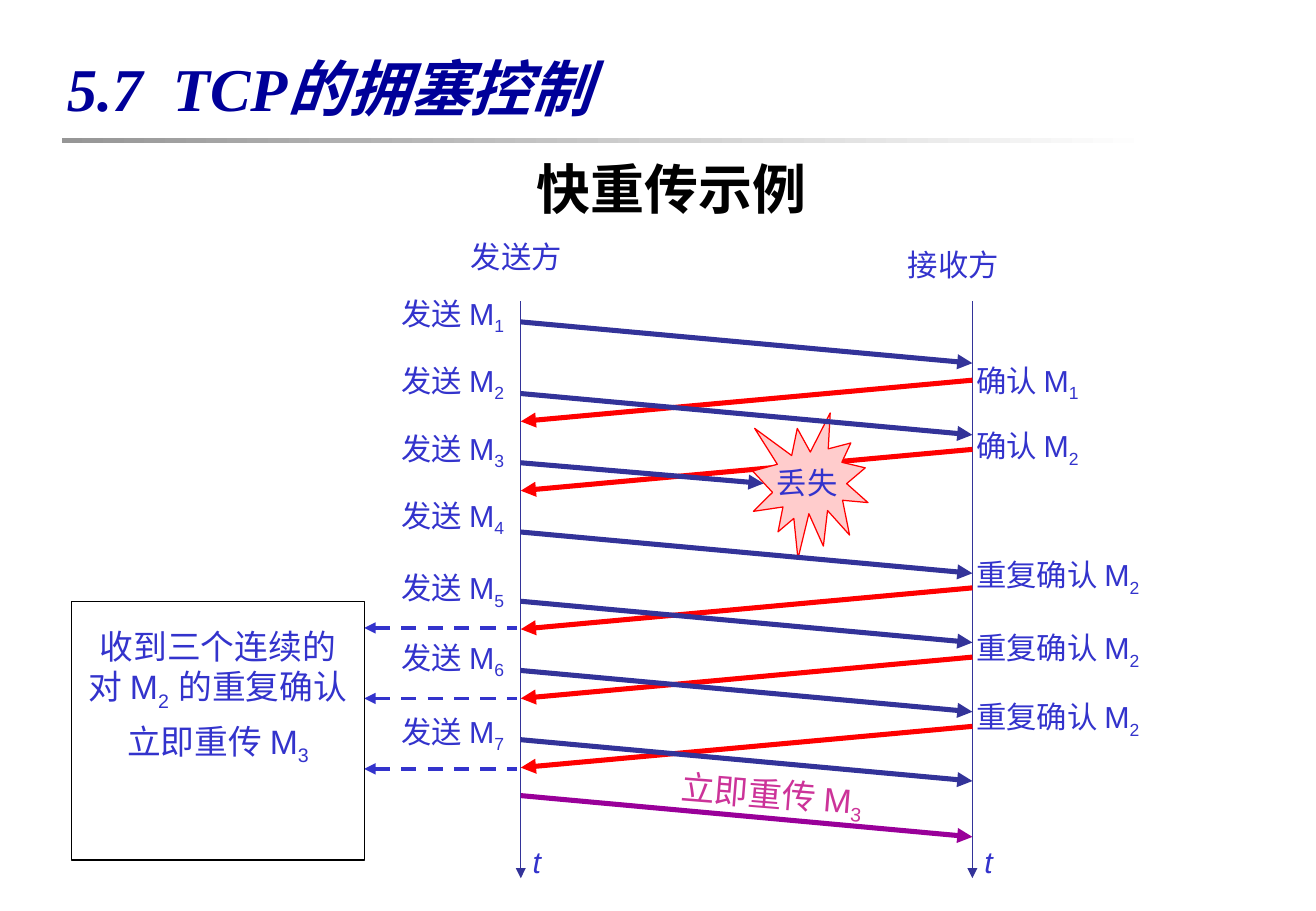
from collections import namedtuple
from dataclasses import dataclass

from lxml import etree
from pptx import Presentation
from pptx.dml.color import RGBColor
from pptx.enum.dml import MSO_LINE
from pptx.enum.shapes import MSO_CONNECTOR, MSO_SHAPE
from pptx.enum.text import MSO_ANCHOR, MSO_AUTO_SIZE, PP_ALIGN
from pptx.oxml.ns import qn
from pptx.util import Inches, Pt

STRAIGHT = MSO_CONNECTOR.STRAIGHT
RECTANGLE = MSO_SHAPE.RECTANGLE
BURST = MSO_SHAPE.EXPLOSION1
DASH = MSO_LINE.DASH
MIDDLE, TOP = MSO_ANCHOR.MIDDLE, MSO_ANCHOR.TOP
LEFT, CENTER = PP_ALIGN.LEFT, PP_ALIGN.CENTER
NO_FIT = MSO_AUTO_SIZE.NONE

Box = namedtuple("Box", "left top width height")


@dataclass(frozen=True)
class Theme:
    heading_font: str = "Times New Roman"
    label_font: str = "Arial"
    title: str = "000099"
    black: str = "000000"
    label: str = "3333CC"
    segment: str = "333399"
    ack: str = "FF0000"
    resend: str = "990099"
    resend_label: str = "CC3399"
    lost_fill: str = "FFCCCC"
    rule_start: str = "969696"
    rule_end: str = "FFFFFF"
    title_size: int = 36
    subtitle_size: int = 32
    note_size: int = 20
    label_size: int = 18


THEME = Theme()

# Segment number and the top of its label, measured from the diagram top
SEND_LABELS = [(1, 0.47), (2, 1.02), (3, 1.58), (4, 2.13), (5, 2.73), (6, 3.3), (7, 3.91)]
# Row of the acknowledgement, its wording, segment number and label top
ACKS = [(0, "确认 M", 1, 1.02), (1, "确认 M", 2, 1.56), (3, "重复确认 M", 2, 2.62),
        (4, "重复确认 M", 2, 3.22), (5, "重复确认 M", 2, 3.79)]
LOST_SEGMENT = 3
FIRST_SEND, SECOND_SEND, FIRST_ACK, RESEND = 0.74, 1.33, 1.22, 4.64
ROW_STEP, DROP = 0.57, 0.34


def color(name):
    return RGBColor.from_string(name)


def inches(box):
    return [Inches(value) for value in box]


def add_run(para, text, size, shade, font=THEME.label_font, bold=None, italic=None, sub=False):
    run = para.add_run()
    run.text = text
    run.font.name, run.font.size = font, Pt(size)
    run.font.bold, run.font.italic = bold, italic
    run.font.color.rgb = color(shade)
    if sub:
        run.font._element.set("baseline", "-25000")


def set_frame(frame, anchor=TOP, left=0.1, top=0.05, right=0.1):
    frame.word_wrap, frame.vertical_anchor, frame.auto_size = True, anchor, NO_FIT
    frame.margin_left, frame.margin_right = Inches(left), Inches(right)
    frame.margin_top, frame.margin_bottom = Inches(top), Inches(0.05)


def add_label(page, box, text, number=None, size=THEME.label_size, shade=THEME.label,
              italic=None, inset=0.1):
    """Add a one-line label with an optional subscript number."""
    label = page.shapes.add_textbox(*inches(box))
    set_frame(label.text_frame, left=inset, right=0)
    para = label.text_frame.paragraphs[0]
    add_run(para, text, size, shade, italic=italic)
    if number is not None:
        add_run(para, str(number), size, shade, sub=True)
    return label


def add_arrow(page, start, end, shade, width=3.0, dash=None, arrow_end="a:tailEnd"):
    arrow = page.shapes.add_connector(STRAIGHT, *inches(start + end))
    arrow.line.color.rgb = color(shade)
    arrow.line.width = Pt(width)
    if dash is not None:
        arrow.line.dash_style = dash
    head = etree.SubElement(arrow.line._get_or_add_ln(), qn(arrow_end))
    head.set("type", "triangle")
    etree.SubElement(arrow._element.spPr, qn("a:effectLst"))


def add_heading(page, box):
    title = page.shapes.title
    title.left, title.top, title.width, title.height = inches(box)
    set_frame(title.text_frame, anchor=MIDDLE)
    para = title.text_frame.paragraphs[0]
    para.alignment = LEFT
    add_run(para, "5.7  TCP的拥塞控制", THEME.title_size, THEME.title,
            THEME.heading_font, bold=True, italic=True)

    rule = page.shapes.add_shape(
        RECTANGLE, *inches((box.left + 0.06, box.top + 0.86, 9, 0.04)))
    rule.shadow.inherit = False
    rule.line.fill.background()
    rule.fill.gradient()
    rule.fill.gradient_angle = 0
    for stop, shade in zip(rule.fill.gradient_stops, (THEME.rule_start, THEME.rule_end)):
        stop.color.rgb = color(shade)

    subtitle = page.shapes.add_textbox(*inches((box.left, box.top + 1.03, 10.16, 0.63)))
    set_frame(subtitle.text_frame)
    para = subtitle.text_frame.paragraphs[0]
    para.alignment, para.line_spacing = CENTER, 0.85
    add_run(para, "快重传示例", THEME.subtitle_size, THEME.black, THEME.heading_font, bold=True)


def add_lost_mark(page, box):
    burst = page.shapes.add_shape(BURST, *inches(box))
    burst.shadow.inherit = False
    burst.fill.solid()
    burst.fill.fore_color.rgb = color(THEME.lost_fill)
    burst.line.color.rgb = color(THEME.ack)
    burst.line.width = Pt(0.75)
    add_label(page, Box(box.left + 0.1, box.top + 0.37, 0.7, 0.4), "丢失")


def add_sequence(page, box):
    """Draw both time lines with the segments and acknowledgements between them."""
    sender, receiver = box.left + 1.08, box.left + 4.8
    add_label(page, Box(box.left + 0.57, box.top, 0.95, 0.4), "发送方")
    add_label(page, Box(box.left + 4.17, box.top + 0.07, 0.95, 0.4), "接收方")
    for axis in (sender, receiver):
        add_arrow(page, (axis, box.top + 0.57), (axis, box.top + box.height),
                  THEME.segment, width=0.75)
        add_label(page, Box(axis, box.top + 4.98, 0.27, 0.4), "t", italic=True)

    for row, text, number, label_top in ACKS:
        top = box.top + FIRST_ACK + row * ROW_STEP
        add_arrow(page, (receiver, top), (sender, top + DROP), THEME.ack)
        width = 1.17 if text == "确认 M" else 1.71
        add_label(page, Box(receiver - 0.12, box.top + label_top, width, 0.44),
                  text, number, inset=0.15)

    add_lost_mark(page, Box(box.left + 2.99, box.top + 1.49, 0.95, 1.2))
    for number, label_top in SEND_LABELS:
        offset = FIRST_SEND if number == 1 else SECOND_SEND + (number - 2) * ROW_STEP
        top = box.top + offset
        end = (receiver, top + DROP)
        if number == LOST_SEGMENT:
            end = (sender + 2, top + 0.17)
        add_arrow(page, (sender, top), end, THEME.segment)
        add_label(page, Box(box.left, box.top + label_top, 1.1, 0.44), "发送 M", number)

    top = box.top + RESEND
    add_arrow(page, (sender, top), (receiver, top + DROP), THEME.resend)
    label = add_label(page, Box(box.left + 2.3, box.top + 4.41, 1.76, 0.48),
                      "立即重传 M", 3, THEME.note_size, THEME.resend_label)
    label.rotation = 4.6


def add_trigger_note(page, box):
    """Draw the boxed explanation and the dashed arrows that lead to it."""
    right = box.left + box.width
    for row in range(3):
        top = box.top + 0.22 + row * 0.58
        add_arrow(page, (right, top), (right + 1.26, top), THEME.label, 2.25, DASH, "a:headEnd")

    note = page.shapes.add_shape(RECTANGLE, *inches(box))
    note.shadow.inherit = False
    note.fill.background()
    note.line.color.rgb = color(THEME.black)
    note.line.width = Pt(0.75)
    frame = note.text_frame
    set_frame(frame, top=0.2)
    lines = [[("收到三个连续的", False)],
             [("对 M", False), ("2", True), (" 的重复确认", False)],
             [("立即重传 M", False), ("3", True)]]
    for index, line in enumerate(lines):
        para = frame.add_paragraph() if index else frame.paragraphs[0]
        para.alignment = CENTER
        for text, sub in line:
            add_run(para, text, THEME.note_size, THEME.label, sub=sub)
    para.space_before = Pt(5)


def main():
    deck = Presentation()
    deck.slide_width, deck.slide_height = Inches(10.84), Inches(7.5)
    page = deck.slides.add_slide(deck.slide_layouts[5])
    add_heading(page, Box(0.45, 0.28, 9.84, 0.87))
    add_sequence(page, Box(3.21, 1.91, 6.39, 5.32))
    add_trigger_note(page, Box(0.59, 4.95, 2.41, 2.13))
    deck.save("out.pptx")


if __name__ == "__main__":
    main()
